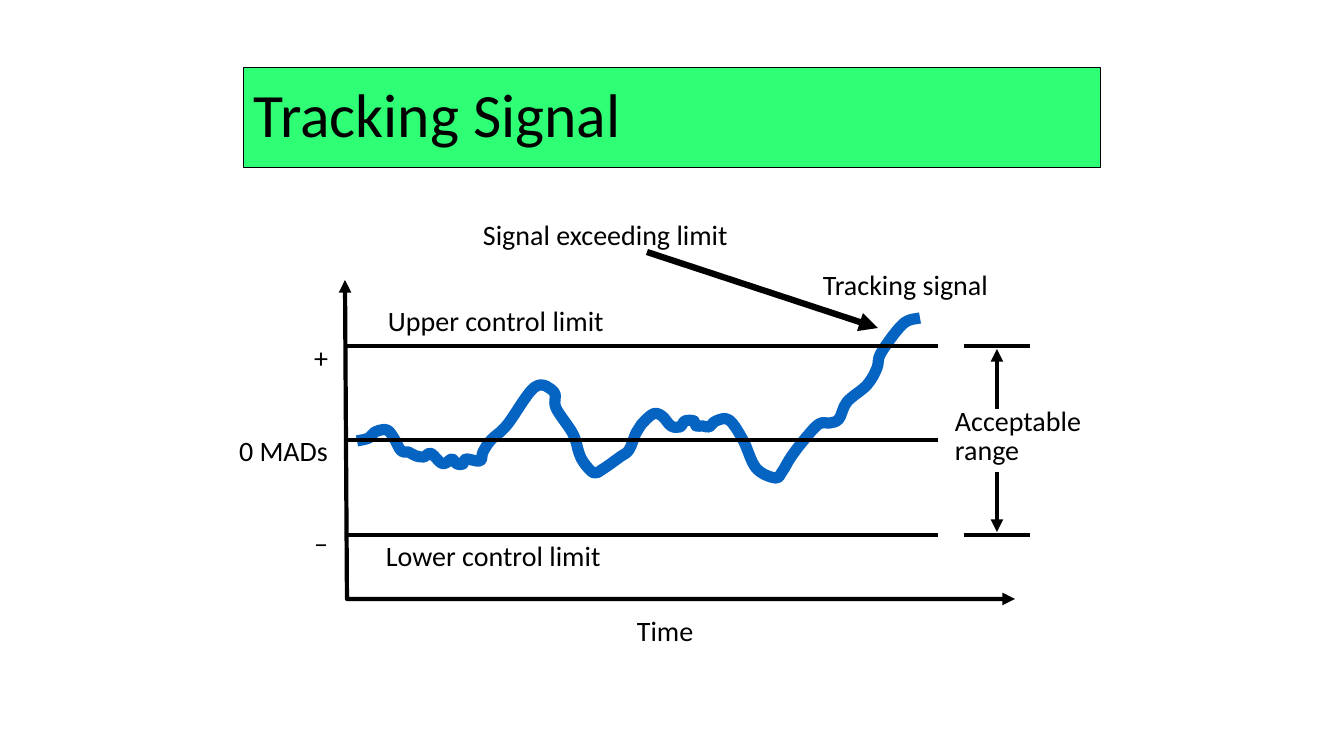
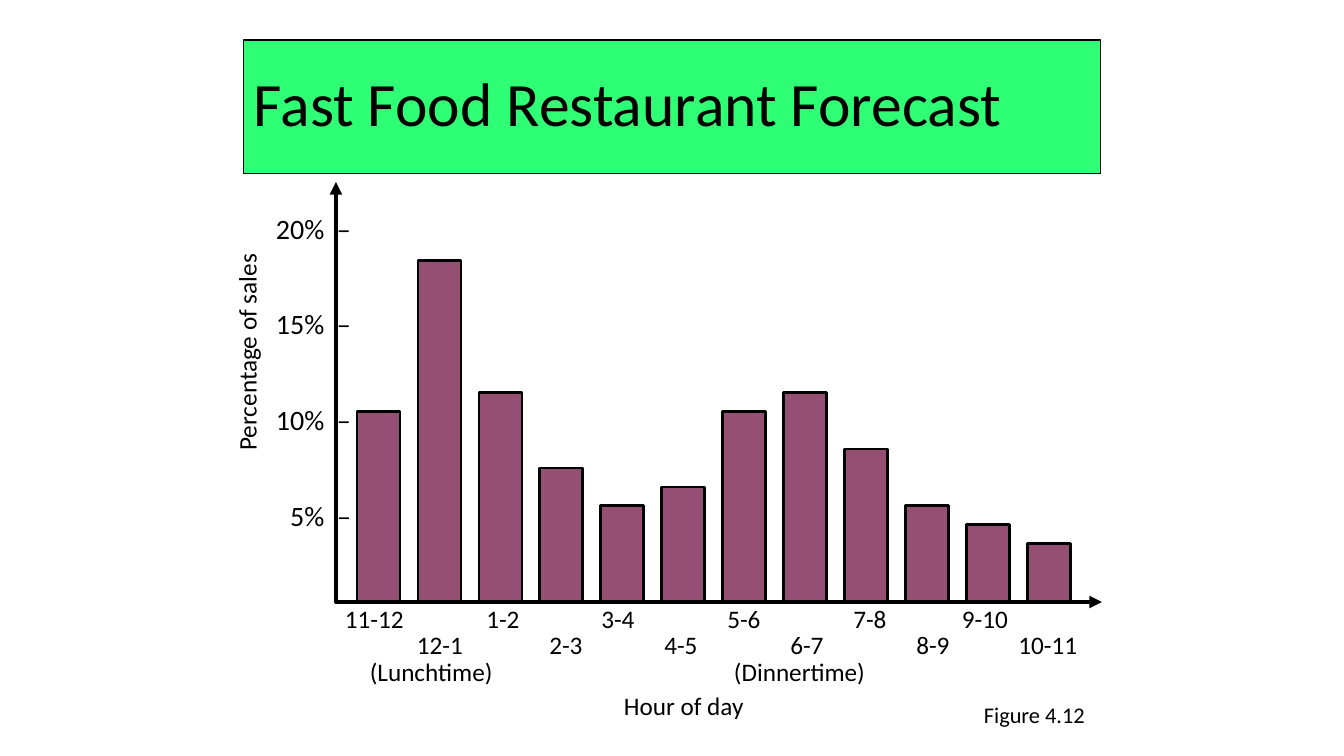
import dataclasses

import lxml.etree
import pptx
import pptx.dml.color
import pptx.enum.shapes
import pptx.enum.text
import pptx.oxml.ns
import pptx.util

PX = 914400 / 100.8
ALIGN = pptx.enum.text.PP_ALIGN
RECT = pptx.enum.shapes.MSO_SHAPE.RECTANGLE


@dataclasses.dataclass(frozen=True)
class Theme:
    font: str = "Calibri"
    ink: str = "000000"
    band: str = "2FFF74"
    signal: str = "0563C1"
    bar: str = "954F72"
    title: int = 44
    label: int = 20
    small: int = 18
    caption: int = 16
    rule: float = 3
    outline: float = 1.88


THEME = Theme()

SIGNAL = [
    (0, 0), (12, -3), (18, -9), (30, -11), (38, -1), (42, 7), (46, 11),
    (51, 11), (59, 15), (67, 16), (71, 13), (75, 13), (84, 22), (89, 22),
    (95, 18), (100, 23), (106, 23), (109, 18), (123, 20), (126, 11),
    (134, -1), (150, -16), (178, -54), (197, -49), (199, -33), (216, -7),
    (222, 12), (227, 22), (237, 32), (246, 28), (263, 16), (272, 9),
    (279, -8), (284, -16), (296, -27), (305, -25), (314, -15), (323, -14),
    (328, -20), (337, -20), (339, -15), (346, -15), (352, -14), (359, -20),
    (372, -21), (386, -1), (399, 27), (418, 37), (425, 31), (434, 16),
    (447, -1), (462, -17), (473, -18), (482, -22), (490, -39), (510, -56),
    (520, -73), (524, -88), (546, -117), (563, -123),
]

SALES = {
    "11-12": 10, "12-1": 18, "1-2": 11, "2-3": 7, "3-4": 5, "4-5": 6,
    "5-6": 10, "6-7": 11, "7-8": 8, "8-9": 5, "9-10": 4, "10-11": 3,
}
HOUR_TABS = [95, 158, 221, 273, 336, 399, 462, 525, 588, 640, 703]


def emu(px):
    return pptx.util.Emu(round(px * PX))


def rgb(value):
    return pptx.dml.color.RGBColor.from_string(value)


def child(parent, tag, **attrs):
    return lxml.etree.SubElement(parent, pptx.oxml.ns.qn(tag), attrs)


def set_line(sp, color, width, head=False, tail=False):
    sp.line.color.rgb = rgb(color)
    sp.line.width = pptx.util.Pt(width)
    ln = sp.line._get_or_add_ln()
    for shown, tag in ((head, "a:headEnd"), (tail, "a:tailEnd")):
        if shown:
            child(ln, tag, type="triangle")


def add_line(shapes, box, start, end, width=THEME.rule, **ends):
    x, y = box[:2]
    sp = shapes.add_connector(
        pptx.enum.shapes.MSO_CONNECTOR.STRAIGHT,
        emu(x + start[0]), emu(y + start[1]), emu(x + end[0]), emu(y + end[1]))
    set_line(sp, THEME.ink, width, **ends)
    child(sp._element.spPr, "a:effectLst")


def add_path(shapes, box, points, color, width, **ends):
    points = [(emu(box[0] + x), emu(box[1] + y)) for x, y in points]
    builder = shapes.build_freeform(*points[0])
    builder.add_line_segments(points[1:], close=False)
    sp = builder.convert_to_shape()
    sp.shadow.inherit = False
    sp.fill.background()
    set_line(sp, color, width, **ends)
    return sp


def smooth(sp):
    nodes = list(sp._element.iter(pptx.oxml.ns.qn("a:pt")))
    points = [(int(pt.get("x")), int(pt.get("y"))) for pt in nodes]
    padded = [points[0], *points, points[-1]]
    for pt, a, b, c, d in zip(nodes[1:], padded, padded[1:], padded[2:],
                              padded[3:]):
        segment = pt.getparent()
        curve = lxml.etree.Element(pptx.oxml.ns.qn("a:cubicBezTo"))
        leave = [q + (r - p) / 6 for p, q, r in zip(a, b, c)]
        arrive = [q - (r - p) / 6 for p, q, r in zip(b, c, d)]
        for x, y in (leave, arrive, c):
            child(curve, "a:pt", x=str(round(x)), y=str(round(y)))
        segment.getparent().replace(segment, curve)


def add_rect(shapes, x, y, w, h, fill, width):
    sp = shapes.add_shape(RECT, emu(x), emu(y), emu(w), emu(h))
    sp.shadow.inherit = False
    sp.fill.solid()
    sp.fill.fore_color.rgb = rgb(fill)
    set_line(sp, THEME.ink, width)
    return sp


def write(tf, lines, size, align=ALIGN.LEFT, spacing=None, tabs=()):
    for i, line in enumerate(lines):
        p = tf.add_paragraph() if i else tf.paragraphs[0]
        p.alignment = align
        if spacing:
            p.line_spacing = spacing
        if tabs:
            stops = child(p._p.get_or_add_pPr(), "a:tabLst")
            for tab in tabs:
                child(stops, "a:tab", pos=str(emu(tab)), algn="ctr")
        r = p.add_run()
        r.text = line
        r.font.name = THEME.font
        r.font.size = pptx.util.Pt(size)
        r.font.color.rgb = rgb(THEME.ink)


def add_label(shapes, box, place, lines, size=THEME.label, wrap=False,
              rotation=0, **style):
    x, y, w, h = place
    sp = shapes.add_textbox(
        emu(box[0] + x), emu(box[1] + y), emu(w), emu(h))
    sp.rotation = rotation
    tf = sp.text_frame
    tf.word_wrap = wrap
    tf.auto_size = pptx.enum.text.MSO_AUTO_SIZE.SHAPE_TO_FIT_TEXT
    write(tf, lines, size, **style)


def add_title(shapes, box, text):
    tf = add_rect(shapes, *box, THEME.band, 0.75).text_frame
    tf.word_wrap = True
    tf.vertical_anchor = pptx.enum.text.MSO_ANCHOR.MIDDLE
    write(tf, [text], THEME.title, spacing=0.9)


def signal_curve(shapes, box, middle):
    curve = [(12 + x, middle + 1 + y) for x, y in SIGNAL]
    smooth(add_path(shapes, box, curve, THEME.signal, 8))
    add_label(shapes, box, (468, -17, 187, 44), ["Tracking signal"])


def control_axes(shapes, box, levels):
    w, h = box[2:]
    add_path(shapes, box, [(0, 0), (2, h), (w, h)], THEME.ink, THEME.rule,
             head=True, tail=True)
    for level in levels:
        add_line(shapes, box, (1, level), (593, level))
    add_label(shapes, box, (-117, -3, 110, 290), ["+", "0 MADs", "–"],
              align=ALIGN.RIGHT, spacing=2.75)
    for place, text in (
            ((33, 19, 238, 44), "Upper control limit"),
            ((31, 254, 237, 44), "Lower control limit"),
            ((282, 329, 78, 44), "Time")):
        add_label(shapes, box, place, [text])


def exceeding_note(shapes, box):
    add_label(shapes, box, (128, -67, 268, 44), ["Signal exceeding limit"])
    add_line(shapes, box, (302, -28), (533, 48), 4.5, tail=True)


def acceptable_range(shapes, box, upper, lower):
    add_label(shapes, box, (600, 124, 183, 68), ["Acceptable range"],
              wrap=True, spacing=0.85)
    for level in (upper, lower):
        add_line(shapes, box, (619, level), (685, level))
    for level, inward in ((upper, 1), (lower, -1)):
        add_line(shapes, box, (652, level + 3 * inward),
                 (652, level + 63 * inward), head=True)


def sales_bars(shapes, box):
    x, y, w, h = box
    pitch, bar_width, percent = 60.95, 43, 18.85
    for i, value in enumerate(SALES.values()):
        height = 2 + value * percent
        add_rect(shapes, x + 21 + i * pitch, y + h - height, bar_width, height,
                 THEME.bar, THEME.outline)


def sales_axes(shapes, box):
    w, h = box[2:]
    add_label(shapes, box, (-71, -38, 96, 397),
              [f"{value}%  –" for value in (20, 15, 10, 5)],
              align=ALIGN.RIGHT, spacing=2.85)
    add_path(shapes, box, [(0, 0), (0, h), (w, h)], THEME.ink, THEME.rule,
             head=True, tail=True)
    hours = list(SALES)
    add_label(shapes, box, (-1, h + 1, 775, 61),
              ["\t\t".join(hours[::2]), "\t" + "\t\t".join(hours[1::2])],
              THEME.small, wrap=True, spacing=0.85, tabs=HOUR_TABS)
    for place, text, rotation in (
            ((24, 469, 145, 40), "(Lunchtime)", 0),
            ((388, 469, 153, 40), "(Dinnertime)", 0),
            ((278, 503, 141, 40), "Hour of day", 0),
            ((-199, 149, 219, 40), "Percentage of sales", 270)):
        add_label(shapes, box, place, [text], THEME.small, rotation=rotation)


def tracking_slide(shapes):
    plot = (345, 280, 670, 319)
    upper, middle, lower = levels = (66, 160, 255)
    add_title(shapes, (244, 68, 857, 100), "Tracking Signal")
    signal_curve(shapes.add_group_shape().shapes, plot, middle)
    control_axes(shapes.add_group_shape().shapes, plot, levels)
    exceeding_note(shapes.add_group_shape().shapes, plot)
    acceptable_range(shapes.add_group_shape().shapes, plot, upper, lower)


def forecast_slide(shapes):
    plot = (336, 182, 766, 420)
    sales_bars(shapes.add_group_shape().shapes, plot)
    add_title(shapes, (244, 40, 857, 134), "Fast Food Restaurant Forecast")
    sales_axes(shapes.add_group_shape().shapes, plot)
    add_label(shapes, plot, (638, 514, 123, 37), ["Figure 4.12"],
              THEME.caption)


def main():
    prs = pptx.Presentation()
    prs.slide_width, prs.slide_height = emu(1344), emu(756)
    for build in (tracking_slide, forecast_slide):
        build(prs.slides.add_slide(prs.slide_layouts[6]).shapes)
    prs.save("out.pptx")


main()
